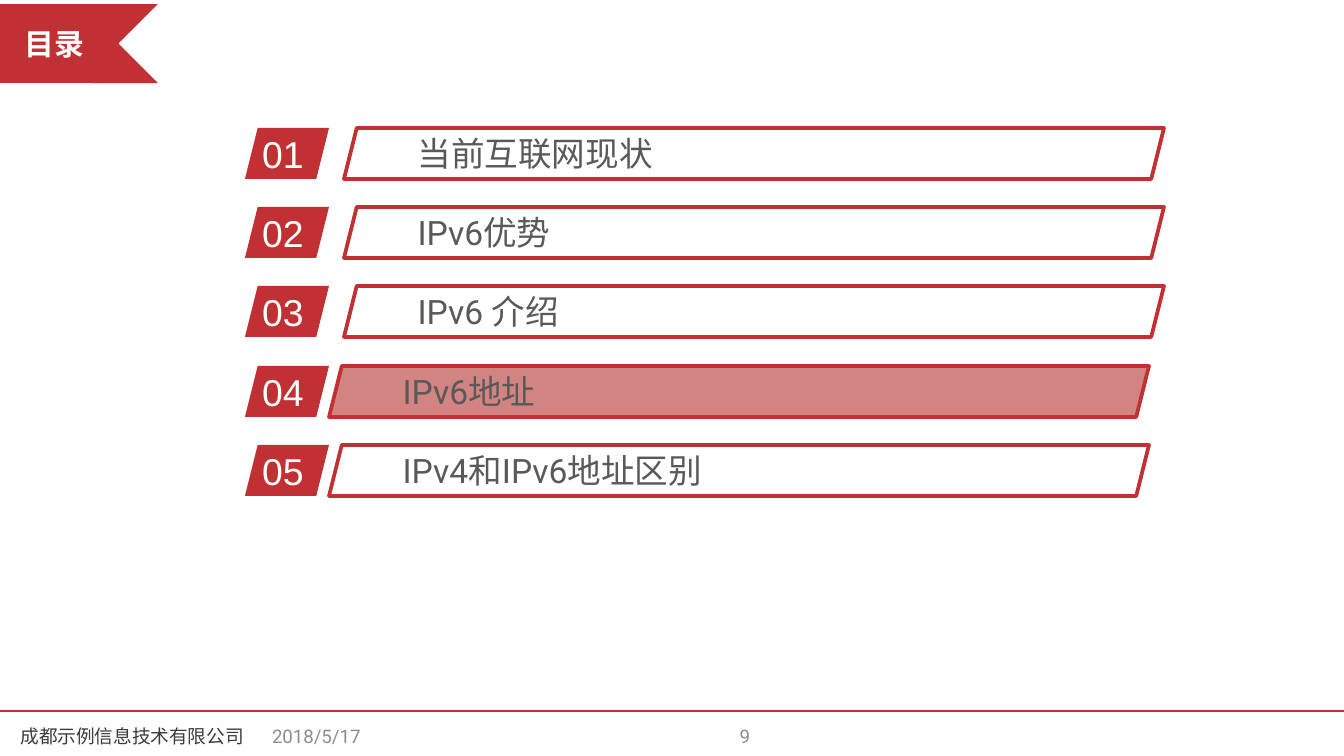
from lxml.etree import SubElement
from pptx import Presentation
from pptx.dml.color import RGBColor
from pptx.enum.shapes import MSO_CONNECTOR, MSO_SHAPE
from pptx.enum.text import MSO_ANCHOR, MSO_AUTO_SIZE, PP_ALIGN
from pptx.oxml.ns import qn
from pptx.util import Emu, Pt

EMU_PER_PX = 914400 / 134.4
COLORS = {
    "red": "C13133",
    "highlight": "C0504D",
    "white": "FFFFFF",
    "item": "595959",
    "company": "3E3A39",
    "muted": "8C8C8C",
}
# Agenda entries: text, left edge of the bar, fill
ENTRIES = [
    ("当前互联网现状", 344, "white"),
    ("IPv6优势", 344, "white"),
    ("IPv6 介绍", 344, "white"),
    ("IPv6地址", 329, "highlight"),
    ("IPv4和IPv6地址区别", 329, "white"),
]
# Footer fields: text, left, width, colour, alignment
FOOTER = [
    ("2018/5/17", 259, 313, "muted", PP_ALIGN.LEFT),
    ("成都示例信息技术有限公司", -112, 488, "company", PP_ALIGN.CENTER),
    ("9", 450, 313, "muted", PP_ALIGN.RIGHT),
]
FIRST_TOP, LAST_TOP, ROW_HEIGHT = 128, 445, 51


def px(value):
    return Emu(round(value * EMU_PER_PX))


def color(name):
    return RGBColor.from_string(COLORS[name])


def box(left, top, width, height):
    return px(left), px(top), px(width), px(height)


def write(shape, text, size, font, color_name, align=PP_ALIGN.LEFT,
          anchor=MSO_ANCHOR.MIDDLE, bold=False, margins=(13, 7)):
    frame = shape.text_frame
    frame.word_wrap = True
    frame.auto_size = MSO_AUTO_SIZE.NONE
    frame.vertical_anchor = anchor
    frame.margin_left = frame.margin_right = px(margins[0])
    frame.margin_top = frame.margin_bottom = px(margins[1])
    paragraph = frame.paragraphs[0]
    paragraph.alignment = align
    run = paragraph.add_run()
    run.text = text
    run.font.size = Pt(size)
    run.font.name = font
    run.font.bold = bold
    run.font.color.rgb = color(color_name)


def add_filled(slide, kind, bounds, fill):
    shape = slide.shapes.add_shape(kind, *box(*bounds))
    shape.shadow.inherit = False
    shape.fill.solid()
    shape.fill.fore_color.rgb = color(fill)
    shape.line.fill.background()
    return shape


def add_text(slide, bounds, *args, **options):
    write(slide.shapes.add_textbox(*box(*bounds)), *args, **options)


def set_opacity(shape, percent):
    rgb = shape.fill._xPr.find(qn("a:solidFill"))[0]
    SubElement(rgb, qn("a:alpha")).set("val", str(percent * 1000))


def add_heading(slide):
    # Ribbon tail, flipped to notch the right end
    tail = add_filled(slide, MSO_SHAPE.CHEVRON, (52, 4, 106, 79), "red")
    tail._element.spPr.find(qn("a:xfrm")).set("flipH", "1")
    # Title on the flat end, brought in front of the tail
    title = slide.shapes.title
    tail._element.addnext(title._element)
    title.left, title.top, title.width, title.height = box(0, 4, 109, 79)
    title.fill.solid()
    title.fill.fore_color.rgb = color("red")
    write(title, "目录", 16, "Arial", "white", PP_ALIGN.CENTER,
          bold=True, margins=(13, 21))


def add_entry(slide, number, top, text, left, fill):
    # Number tag
    add_filled(slide, MSO_SHAPE.PARALLELOGRAM, (245, top, 84, ROW_HEIGHT), "red")
    add_text(slide, (249, top - 4, 117, 47), f"{number:02d}", 20, "Arial", "white",
             anchor=MSO_ANCHOR.TOP)
    # Outlined bar
    bar = add_filled(slide, MSO_SHAPE.PARALLELOGRAM, (left, top, 820, ROW_HEIGHT), fill)
    set_opacity(bar, 70)
    bar.line.color.rgb = color("red")
    bar.line.width = Pt(2)
    write(bar, text, 18, "Roboto", "item", margins=(0, 7))


def add_footer(slide):
    rule = slide.shapes.add_connector(MSO_CONNECTOR.STRAIGHT, px(0), px(711), px(1344), px(711))
    rule.line.color.rgb = color("red")
    rule.line.width = Pt(0.75)
    SubElement(rule._element.spPr, qn("a:effectLst"))
    for text, left, width, color_name, align in FOOTER:
        add_text(slide, (left, 716, width, 40), text, 10, "Roboto", color_name, align)


def main():
    presentation = Presentation()
    presentation.slide_width, presentation.slide_height = px(1344), px(756)
    slide = presentation.slides.add_slide(presentation.slide_layouts[5])

    add_heading(slide)
    pitch = (LAST_TOP - FIRST_TOP) / (len(ENTRIES) - 1)
    for index, entry in enumerate(ENTRIES):
        add_entry(slide, index + 1, FIRST_TOP + round(index * pitch), *entry)
    add_footer(slide)

    presentation.save("out.pptx")


if __name__ == "__main__":
    main()
